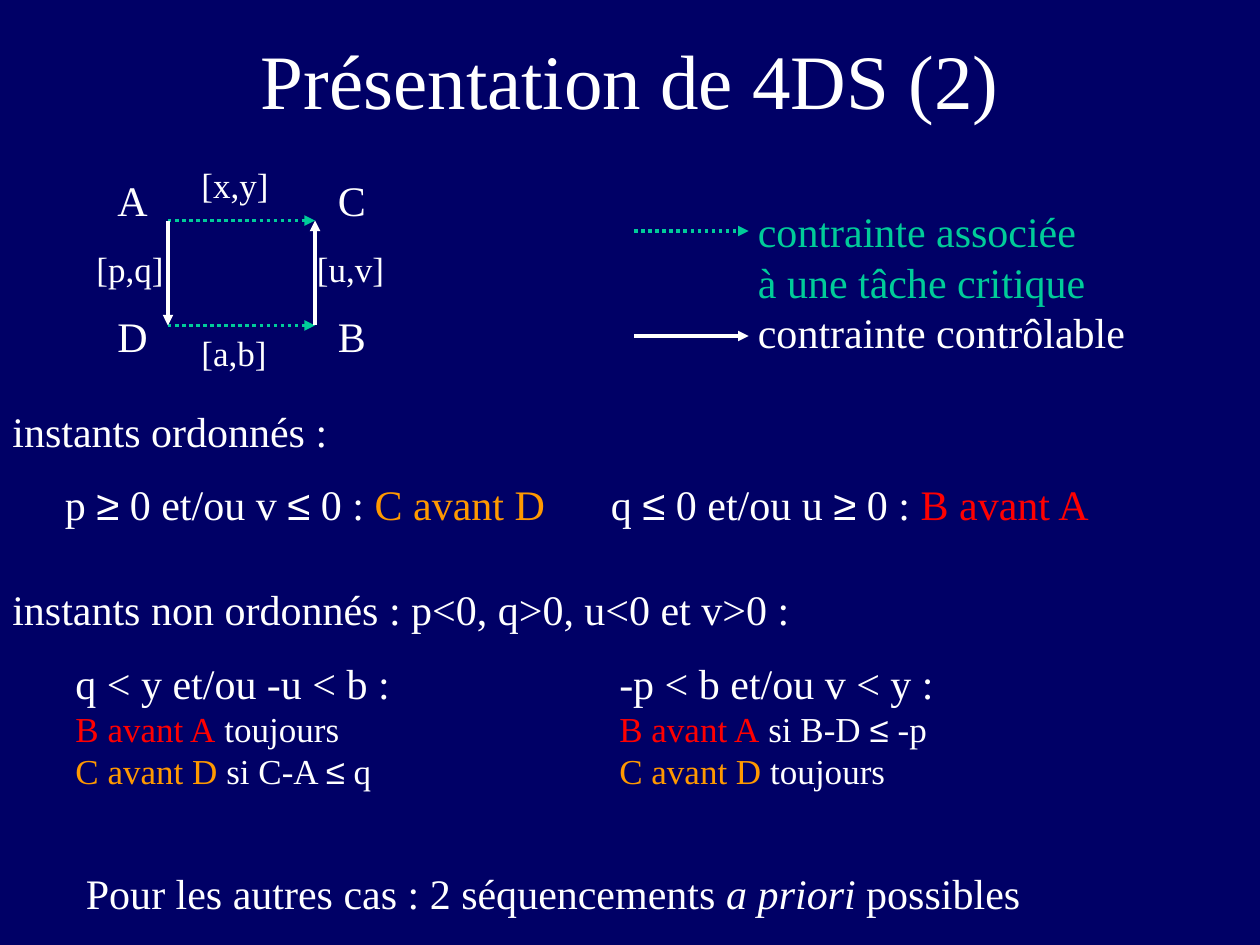
from itertools import groupby

from lxml import etree
from pptx import Presentation, util as u
from pptx.dml.color import RGBColor
from pptx.enum import dml, shapes, text
from pptx.oxml.ns import qn

COLOURS = {"night": "000066", "plain": "FFFFFF", "critical": "00CC99",
           "b_first": "FF0000", "c_first": "FF9900"}
B_BEFORE_A = ("B avant A", "b_first")
C_BEFORE_D = ("C avant D", "c_first")


class Slide:
    FONT, SYMBOL_FONT, SYMBOLS = "Times New Roman", "Arial", "≤≥"
    COLUMNS, ROWS = 120, 90

    def __init__(self, deck):
        self.column = deck.slide_width / self.COLUMNS
        self.row = deck.slide_height / self.ROWS
        self.slide = deck.slides.add_slide(deck.slide_layouts[5])
        fill = self.slide.background.fill
        fill.solid()
        fill.fore_color.rgb = self.colour("night")

    def colour(self, name):
        return RGBColor.from_string(COLOURS[name])

    def place(self, *lengths):
        units = (self.column, self.row) * 2
        return [u.Emu(round(n * unit)) for n, unit in zip(lengths, units)]

    def style(self, run, size, colour="plain", italic=False, font=FONT):
        run.font.size = u.Pt(size)
        run.font.name = font
        run.font.italic = italic
        run.font.color.rgb = self.colour(colour)

    def title(self, wording, *box):
        heading = self.slide.shapes.title
        heading.left, heading.top, heading.width, heading.height = self.place(*box)
        frame = heading.text_frame
        frame.text = wording
        frame.auto_size = text.MSO_AUTO_SIZE.NONE
        frame.vertical_anchor = text.MSO_ANCHOR.MIDDLE
        frame.paragraphs[0].alignment = text.PP_ALIGN.CENTER
        self.style(frame.paragraphs[0].runs[0], 44)

    def label(self, box, *lines, size=24, rest=None, wrap=False):
        frame = self.slide.shapes.add_textbox(*self.place(*box)).text_frame
        frame.word_wrap = wrap
        frame.auto_size = text.MSO_AUTO_SIZE.SHAPE_TO_FIT_TEXT
        for i, line in enumerate(lines):
            paragraph = frame.add_paragraph() if i else frame.paragraphs[0]
            points = rest if i and rest else size
            for part in [line] if isinstance(line, str) else line:
                wording, *look = [part] if isinstance(part, str) else part
                for symbol, letters in groupby(wording, lambda c: c in self.SYMBOLS):
                    run = paragraph.add_run()
                    run.text = "".join(letters)
                    self.style(run, points, *look)
                    if symbol:
                        run.font.name = self.SYMBOL_FONT

    def arrow(self, start, end, critical=False):
        link = self.slide.shapes.add_connector(
            shapes.MSO_CONNECTOR.STRAIGHT, *self.place(*start, *end))
        link.line.width = u.Pt(2)
        link.line.color.rgb = self.colour("critical" if critical else "plain")
        if critical:
            link.line.dash_style = dml.MSO_LINE.ROUND_DOT
        etree.SubElement(link.line._get_or_add_ln(), qn("a:tailEnd"), type="triangle")
        etree.SubElement(link._element.spPr, qn("a:effectLst"))


def main():
    deck = Presentation()
    deck.slide_width, deck.slide_height = u.Inches(10), u.Inches(7.5)
    page = Slide(deck)
    page.title("Présentation de 4DS (2)", 9, 0, 102, 15)

    for row, critical in ((22, True), (32, False)):
        page.arrow((60.4, row), (71.3, row), critical)
    page.label((71, 19, 38, 15.6), [("contrainte associée", "critical")],
               [("à une tâche critique", "critical")], "contrainte contrôlable")

    a, c, d, b = (16, 21), (30, 21), (16, 31), (30, 31)
    for start, end, critical in ((a, c, True), (d, b, True), (b, c, False), (a, d, False)):
        page.arrow(start, end, critical)
    for interval, column, row in (("[x,y]", 18, 15), ("[a,b]", 18, 31),
                                  ("[p,q]", 8, 23), ("[u,v]", 29, 23)):
        page.label((column, row, 9, 5.3), interval, size=20)
    for instant, column, row in (("A", 10, 16), ("C", 31, 16),
                                 ("D", 10, 29), ("B", 31, 29)):
        page.label((column, row, 5.3, 6), instant)

    page.label((0, 38, 33, 6), "instants ordonnés :")
    page.label((5, 45, 50, 6), ["p ≥ 0 et/ou v ≤ 0 : ", C_BEFORE_D])
    page.label((57, 45, 50, 6), ["q ≤ 0 et/ou u ≥ 0 : ", B_BEFORE_A])

    page.label((0, 55, 78, 6), "instants non ordonnés : p<0, q>0, u<0 et v>0 :", wrap=True)
    page.label((6, 62, 33, 14), "q < y et/ou -u < b :", [B_BEFORE_A, " toujours"],
               [C_BEFORE_D, " si C-A ≤ q"], rest=20)
    page.label((57.8, 62, 33, 14), "-p < b et/ou v < y :", [B_BEFORE_A, " si B-D ≤ -p"],
               [C_BEFORE_D, " toujours"], rest=20)

    page.label((7, 82, 104, 6), ["Pour les autres cas : 2 séquencements ",
                                 ("a priori", "plain", True), " possibles"], wrap=True)
    deck.save("out.pptx")


if __name__ == "__main__":
    main()
